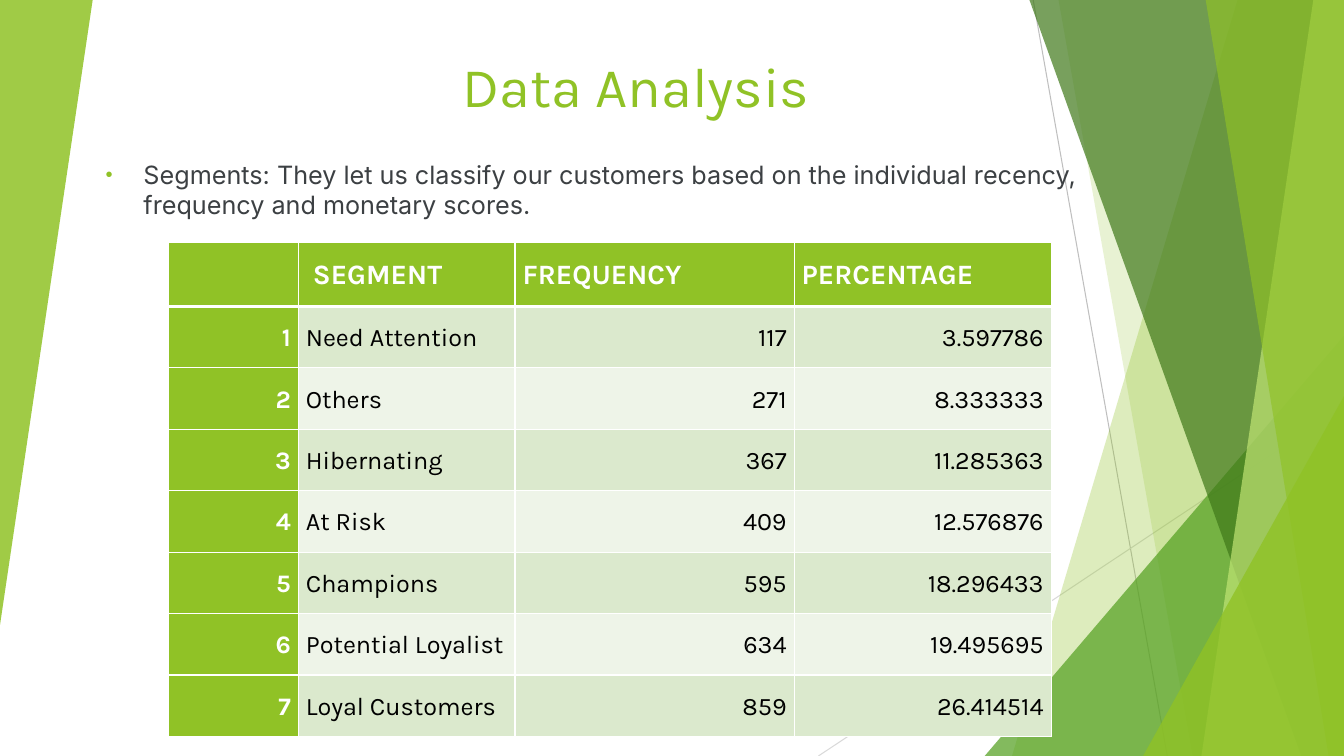
from lxml.etree import SubElement
from pptx import Presentation
from pptx.dml.color import RGBColor
from pptx.enum.shapes import MSO_CONNECTOR, MSO_SHAPE
from pptx.enum.text import MSO_ANCHOR, PP_ALIGN
from pptx.oxml.ns import qn
from pptx.util import Pt

WIDE, HIGH = 960, 540
LIME, WHITE = "90C226", "FFFFFF"
STRIPES = ["DBE9CD", "EEF4E8"]
HEADS = ["", "\u00a0SEGMENT", "FREQUENCY", "PERCENTAGE"]
SEGMENTS = [
    ("Need\u00a0Attention", "117", "3.597786"),
    ("Others", "271", "8.333333"),
    ("Hibernating", "367", "11.285363"),
    ("At\u00a0Risk", "409", "12.576876"),
    ("Champions", "595", "18.296433"),
    ("Potential\u00a0Loyalist", "634", "19.495695"),
    ("Loyal\u00a0Customers", "859", "26.414514"),
]


def paint(fill, color, alpha=100):
    fill.solid()
    fill.fore_color.rgb = RGBColor.from_string(color)
    if alpha < 100:
        tint = fill._xPr.find(".//" + qn("a:srgbClr"))
        SubElement(tint, qn("a:alpha"), val=str(alpha * 1000))


def finish(shape, color, alpha):
    shape.shadow.inherit = False
    shape.line.fill.background()
    paint(shape.fill, color, alpha)


def add_line(slide, start, end, color):
    line = slide.shapes.add_connector(
        MSO_CONNECTOR.STRAIGHT, *(Pt(n) for n in start + end))
    line.line.width = Pt(0.75)
    paint(line.line.fill, color)
    SubElement(line._element.spPr, qn("a:effectLst"))


def add_band(slide, top, base, color, alpha):
    pen = slide.shapes.build_freeform(Pt(top), Pt(-0.72))
    pen.add_line_segments([(Pt(x), Pt(y)) for x, y in
                           [(WIDE, -0.72), (WIDE, HIGH), (base, HIGH)]])
    finish(pen.convert_to_shape(), color, alpha)


def add_wedge(slide, box, color, alpha, turn=0):
    wedge = slide.shapes.add_shape(
        MSO_SHAPE.ISOSCELES_TRIANGLE, *(Pt(n) for n in box))
    wedge.adjustments[0] = 1
    wedge.rotation = turn
    finish(wedge, color, alpha)


def write(para, text, face, size, color, bold=False):
    para.text = text
    font = para.font
    font.name, font.size, font.bold = face, Pt(size), bold
    paint(font.fill, color)


def add_text(slide, box, anchor):
    frame = slide.shapes.add_textbox(*(Pt(n) for n in box)).text_frame
    frame.word_wrap = True
    frame.vertical_anchor = anchor
    return frame.paragraphs[0]


def add_bullet(para):
    para.space_before = Pt(10)
    props = para._p.get_or_add_pPr()
    props.set("marL", str(Pt(27)))
    props.set("indent", str(Pt(-27)))
    SubElement(SubElement(props, qn("a:buClr")), qn("a:srgbClr"), val=LIME)
    SubElement(props, qn("a:buSzPct"), val="80000")
    SubElement(props, qn("a:buFont"), typeface="Arial")
    SubElement(props, qn("a:buChar"), char="\u2022")


def add_edges(cell, top, base):
    props = cell._tc.get_or_add_tcPr()
    for side, width in [("L", 1), ("R", 1), ("T", top), ("B", base)]:
        edge = SubElement(props, qn("a:ln" + side), w=str(Pt(width)))
        fill = SubElement(edge, qn("a:solidFill"))
        SubElement(fill, qn("a:srgbClr"), val=WHITE)


def fill_cell(cell, text, row, col):
    add_edges(cell, 3 if row == 1 else 1, 3 if row == 0 else 1)
    head = row == 0 or col == 0
    paint(cell.fill, LIME if head else STRIPES[(row - 1) % 2])
    cell.vertical_anchor = MSO_ANCHOR.MIDDLE
    cell.margin_left = cell.margin_right = Pt(5.4)
    cell.margin_top = cell.margin_bottom = 0
    if not text:
        return
    para = cell.text_frame.paragraphs[0]
    para.line_spacing = 1.07
    para.space_after = Pt(8)
    if row and col != 1:
        para.alignment = PP_ALIGN.RIGHT
    write(para, text, "Karla", 18 if row else 20,
          WHITE if head else "000000", head)


def add_grid(slide, rows, left, top, widths, heights):
    grid = slide.shapes.add_table(
        len(rows), len(widths), Pt(left), Pt(top),
        Pt(sum(widths)), Pt(sum(heights))).table
    grid.horz_banding = False
    for col, width in zip(grid.columns, widths):
        col.width = Pt(width)
    for row, height in zip(grid.rows, heights):
        row.height = Pt(height)
    for r, row in enumerate(rows):
        for c, text in enumerate(row):
            fill_cell(grid.cell(r, c), text, r, c)


def add_decor(slide):
    add_line(slide, (738, 0), (833.8, HIGH), "BFBFBF")
    add_line(slide, (WIDE, 290.2), (584.6, HIGH), "D9D9D9")
    add_band(slide, 884.2, 722.9, LIME, 30)
    add_band(slide, 756, 851.8, LIME, 20)
    add_wedge(slide, (703.4, 239.8, 256.6, 300.2), "54A021", 72)
    add_band(slide, 735.1, 929.5, "3F7819", 70)
    add_band(slide, 938.2, 858.2, "C0E474", 70)
    add_band(slide, 861.1, 949, LIME, 65)
    add_wedge(slide, (816.5, 283, 143.5, 257), LIME, 80)
    add_wedge(slide, (0, 0, 66.2, 446.4), LIME, 85, 180)


def main():
    deck = Presentation()
    deck.slide_width, deck.slide_height = Pt(WIDE), Pt(HIGH)
    slide = deck.slides.add_slide(deck.slide_layouts[6])
    add_decor(slide)

    title = add_text(slide, (68.4, 20.9, 771.8, 67.7), MSO_ANCHOR.BOTTOM)
    title.alignment = PP_ALIGN.CENTER
    write(title, "Data Analysis", "Karla", 40, LIME)

    intro = add_text(slide, (68.4, 110.2, 771.8, 409.7), MSO_ANCHOR.TOP)
    add_bullet(intro)
    write(intro, "Segments: They let us classify our customers based on the "
          "individual recency, frequency and monetary scores.",
          "Inter", 18, "3C4043")

    rows = [HEADS] + [(str(n), *seg) for n, seg in enumerate(SEGMENTS, 1)]
    add_grid(slide, rows, 120.5, 172.8, [92.6, 154.8, 199.4, 183.6],
             [46.1] + [43.9] * len(SEGMENTS))
    deck.save("out.pptx")


main()
